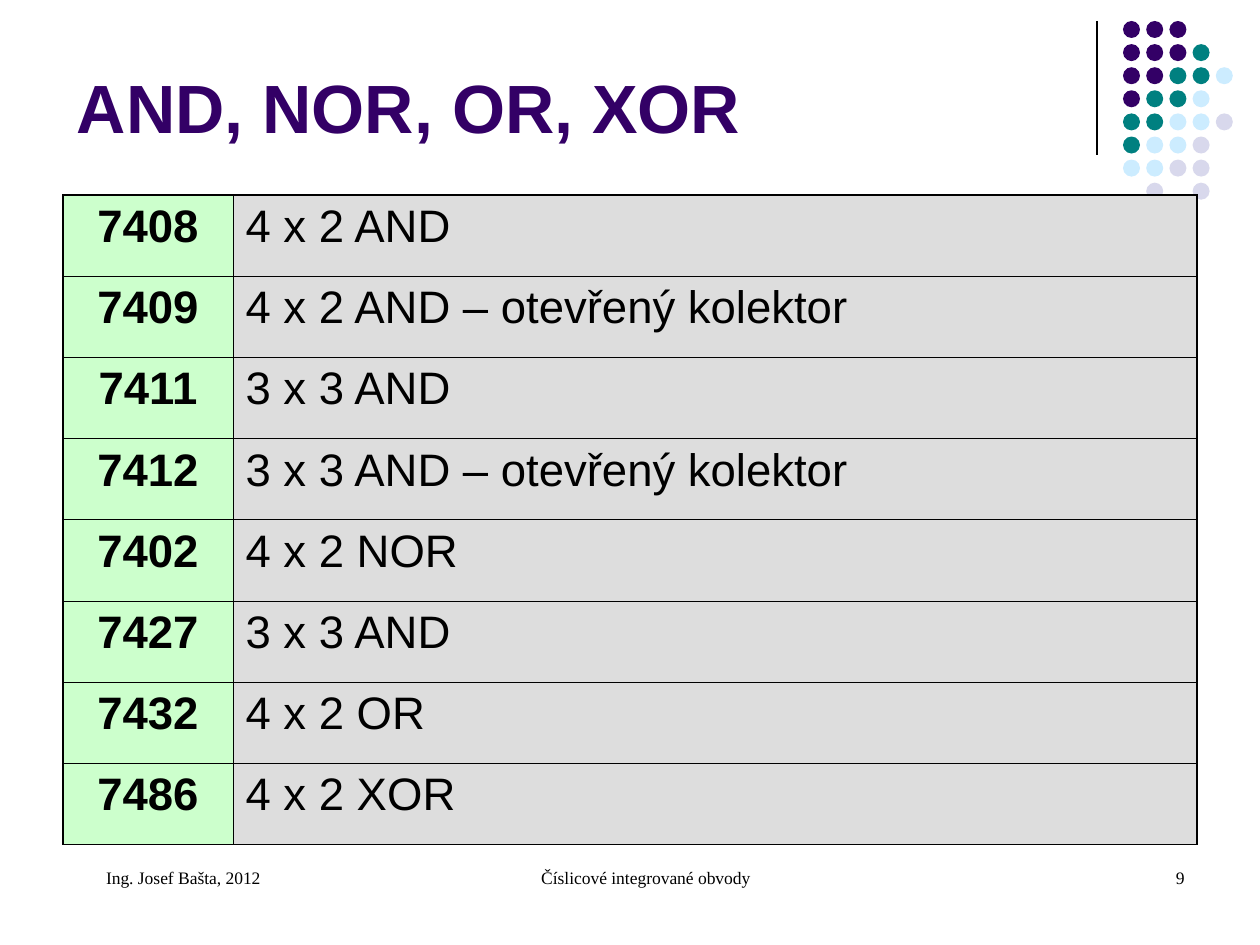
from lxml import etree
from pptx import Presentation
from pptx.dml.color import RGBColor
from pptx.enum.shapes import MSO_CONNECTOR, MSO_SHAPE
from pptx.enum.text import MSO_ANCHOR, PP_ALIGN
from pptx.oxml.ns import qn
from pptx.util import Pt

EMU_PER_PX = 914400 / 126
LEFT, CENTER, RIGHT = PP_ALIGN.LEFT, PP_ALIGN.CENTER, PP_ALIGN.RIGHT
TOP, BOTTOM = MSO_ANCHOR.TOP, MSO_ANCHOR.BOTTOM
OVAL, STRAIGHT = MSO_SHAPE.OVAL, MSO_CONNECTOR.STRAIGHT
THICK, THIN = 1.08, 0.45


def px(length):
    return round(length * EMU_PER_PX)


def write_text(frame, text, size, font="Arial", color="000000", bold=False, align=LEFT):
    paragraph = frame.paragraphs[0]
    paragraph.alignment = align
    run = paragraph.add_run()
    run.text = text
    run.font.name = font
    run.font.size = Pt(size)
    run.font.bold = bold
    run.font.color.rgb = RGBColor.from_string(color)


presentation = Presentation()
presentation.slide_width = px(1260)
presentation.slide_height = px(945)
slide = presentation.slides.add_slide(presentation.slide_layouts[6])
shapes = slide.shapes

divider = shapes.add_connector(STRAIGHT, px(1097), px(21), px(1097), px(155))
divider.line.color.rgb = RGBColor.from_string("000000")
divider.line.width = Pt(0.75)
etree.SubElement(divider._element.spPr, qn("a:effectLst"))

dot_colors = {"P": "330066", "T": "008080", "B": "CCECFF", "L": "D8D8EC"}
dot_rows = ["PPP", "PPPT", "PPTTB", "PTTB", "TTBBL", "TBBL", "BBLL", " L L"]
dots = shapes.add_group_shape()
for row, pattern in enumerate(dot_rows):
    for column, key in enumerate(pattern):
        if key in dot_colors:
            dot = dots.shapes.add_shape(
                OVAL, px(1123 + 23.2 * column), px(21 + 23.1 * row), px(17), px(17)
            )
            dot.shadow.inherit = False
            dot.fill.solid()
            dot.fill.fore_color.rgb = RGBColor.from_string(dot_colors[key])
            dot.line.fill.background()

title_format = {"size": 39, "color": "330066", "bold": True}
footer_format = {"size": 10, "font": "Times New Roman"}
text_boxes = [
    ("AND, NOR, OR, XOR", 64, 45, 1040, 108, 13, BOTTOM, title_format),
    ("Ing. Josef Bašta, 2012", 63, 861, 294, 63, 43, TOP, footer_format),
    ("Číslicové integrované obvody", 431, 861, 399, 63, 43, TOP, footer_format | {"align": CENTER}),
    ("9", 903, 861, 294, 63, 43, TOP, footer_format | {"align": RIGHT}),
]
for text, left, top, width, height, margin, anchor, text_format in text_boxes:
    frame = shapes.add_textbox(px(left), px(top), px(width), px(height)).text_frame
    frame.word_wrap = True
    frame.margin_left = px(margin)
    frame.vertical_anchor = anchor
    write_text(frame, text, **text_format)

circuits = [
    ("7408", "4 x 2 AND"),
    ("7409", "4 x 2 AND – otevřený kolektor"),
    ("7411", "3 x 3 AND"),
    ("7412", "3 x 3 AND – otevřený kolektor"),
    ("7402", "4 x 2 NOR"),
    ("7427", "3 x 3 AND"),
    ("7432", "4 x 2 OR"),
    ("7486", "4 x 2 XOR"),
]
column_formats = [
    ("CCFFCC", {"bold": True, "align": CENTER}),
    ("DDDDDD", {}),
]
last_row = len(circuits) - 1
table = shapes.add_table(len(circuits), 2, px(63), px(195), px(1134), px(650)).table
table.first_row = False
table.horz_banding = False
table.columns[0].width = px(170)
table.columns[1].width = px(964)
for row, circuit in enumerate(circuits):
    for column, text in enumerate(circuit):
        cell = table.cell(row, column)
        fill_color, text_format = column_formats[column]
        write_text(cell.text_frame, text, size=26, **text_format)
        borders = {
            "a:lnL": column == 0,
            "a:lnR": column == 1,
            "a:lnT": row == 0,
            "a:lnB": row == last_row,
        }
        properties = cell._tc.get_or_add_tcPr()
        for tag, is_outer in borders.items():
            width = Pt(THICK if is_outer else THIN)
            border = etree.SubElement(properties, qn(tag), w=str(width))
            border_fill = etree.SubElement(border, qn("a:solidFill"))
            etree.SubElement(border_fill, qn("a:srgbClr"), val="000000")
        cell.fill.solid()
        cell.fill.fore_color.rgb = RGBColor.from_string(fill_color)

presentation.save("out.pptx")
